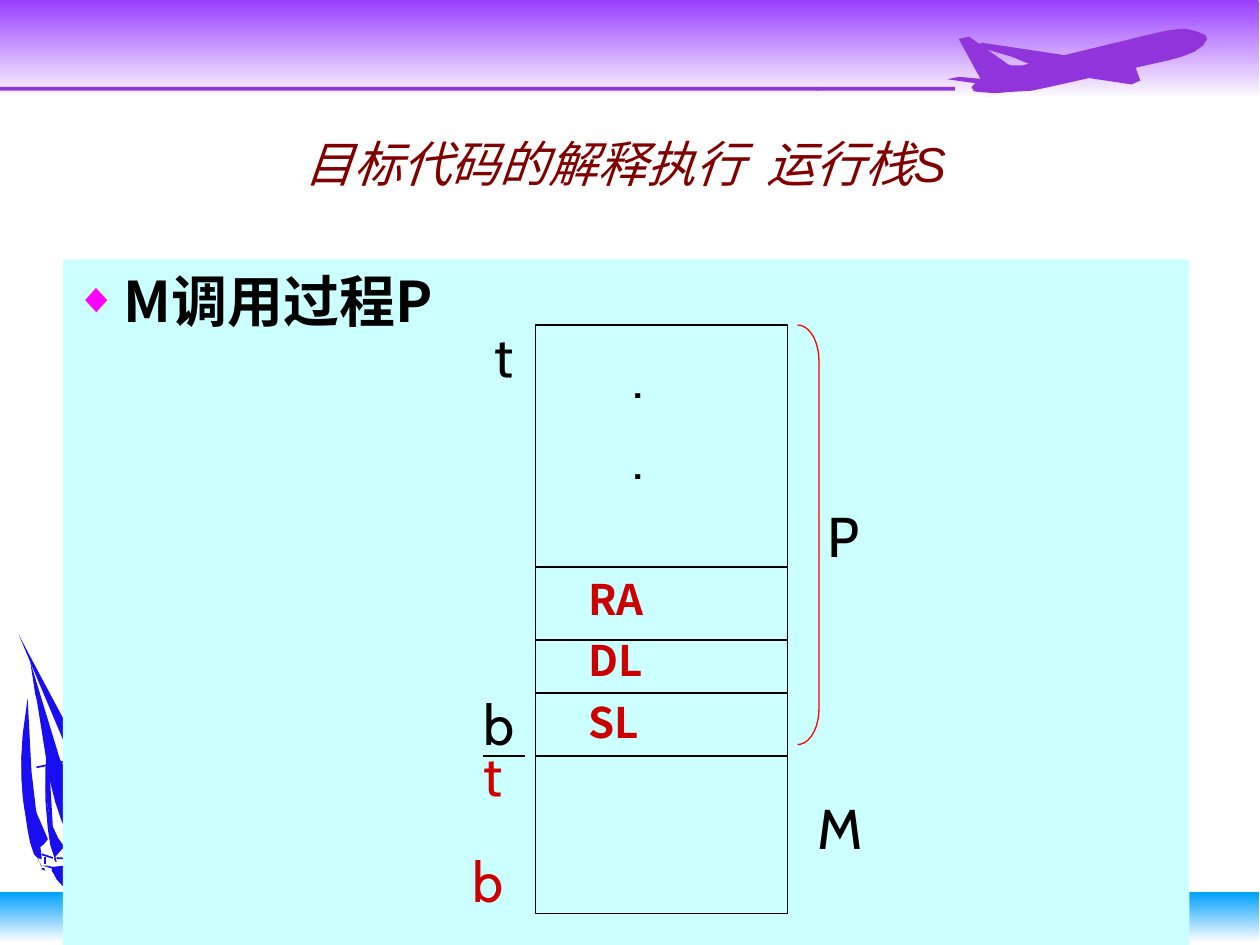
from dataclasses import dataclass

from pptx import Presentation
from pptx.dml.color import RGBColor
from pptx.enum.shapes import MSO_CONNECTOR, MSO_SHAPE
from pptx.enum.text import MSO_ANCHOR, PP_ALIGN
from pptx.oxml.ns import qn
from pptx.util import Inches, Pt
from lxml import etree

RECT, BRACKET = MSO_SHAPE.RECTANGLE, MSO_SHAPE.RIGHT_BRACKET
STRAIGHT = MSO_CONNECTOR.STRAIGHT
CENTER, LEFT = PP_ALIGN.CENTER, PP_ALIGN.LEFT
TOP, MIDDLE = MSO_ANCHOR.TOP, MSO_ANCHOR.MIDDLE
HEAD_FONT, CJK_FONT, LABEL_FONT = "Arial", "Noto Sans CJK SC", "Cabin"

COLORS = {
    "white": "FFFFFF", "sky": "993FFF", "plane": "9234DB", "sea": "009FFF",
    "boat": "190EF2", "title": "800000", "panel": "CCFFFF", "bullet": "FF00FF",
    "black": "000000", "red": "CC0000", "bracket": "FF0000",
}

# Outlines in hundredths of an inch
PLANE = [
    # fuselage and tail fin
    [(761, 31), (769, 29), (800, 51), (803, 52), (811, 52), (918, 26), (928, 24),
     (936, 23), (942, 23), (950, 25), (957, 28), (958, 31), (955, 36), (948, 41),
     (938, 45), (927, 48), (833, 69), (819, 72), (802, 73), (790, 74), (776, 73),
     (772, 72), (773, 71), (771, 70), (772, 68), (775, 65), (779, 64)],
    # near wing, tailplane, far wing
    [(864, 62), (898, 67), (905, 64), (901, 53)],
    [(793, 64), (787, 66), (781, 67), (773, 66), (752, 63), (761, 61)],
    [(860, 46), (780, 34), (772, 36), (803, 45), (822, 53)],
]
BOAT = [
    # sails
    [(39, 601), (39, 605), (42, 656), (40, 652), (37, 634), (36, 624), (36, 611),
     (37, 598), (38, 595)],
    [(90, 682), (65, 598), (25, 523), (15, 504)],
    [(48, 604), (44, 597), (40, 588), (35, 573), (28, 551), (24, 525)],
    [(94, 669), (71, 640), (53, 612), (46, 600), (36, 576), (27, 542), (32, 573),
     (39, 617), (44, 637), (49, 652), (54, 661), (60, 668), (68, 673)],
    [(51, 672), (46, 665), (41, 654), (38, 641), (36, 623), (36, 613), (36, 635),
     (38, 658), (40, 671), (44, 683), (44, 680)],
    [(22, 554), (18, 583), (17, 601), (18, 632), (22, 659), (24, 669), (27, 678),
     (30, 681), (33, 682), (33, 680), (25, 612)],
    [(18, 591), (18, 599), (21, 618), (25, 634), (29, 645), (38, 666), (35, 670),
     (27, 676), (22, 655), (19, 639), (17, 619), (17, 601)],
    # hull and deck
    [(42, 688), (51, 687), (132, 685), (133, 688), (130, 695), (119, 706), (115, 708),
     (83, 713), (65, 713), (55, 709), (45, 698), (41, 690)],
    [(73, 703), (54, 701), (45, 697), (41, 691), (46, 688), (83, 687), (102, 684),
     (82, 693), (62, 696), (52, 692), (51, 696), (60, 700), (74, 702)],
    # bow fittings
    [(44, 680), (43, 682), (44, 684), (45, 684)],
    [(33, 688), (33, 687), (30, 682), (30, 681)],
    [(35, 689), (36, 691), (33, 690), (33, 689)],
    [(34, 687), (37, 687), (47, 689), (46, 691), (37, 688)],
]
RIGGING = [
    [(97, 671), (60, 600), (25, 526)],
    [(49, 605), (65, 598), (49, 605), (29, 609)],
    [(98, 681), (82, 681), (62, 682), (45, 681)],
]
STAYS = [(0.36, 6.8, 0.36, 6.86), (0.42, 6.81, 0.33, 6.78)]


@dataclass
class Label:
    text: str
    left: float
    top: float
    width: float
    color: str = "black"


STACK_LEFT, STACK_WIDTH = 4.25, 2
STACK_TOP, M_TOP, STACK_BOTTOM = 2.58, 6, 7.25
DIVIDERS = [4.5, 5.08, 5.5]
LABELS = [
    Label("t", 3.83, 2.5, 0.36), Label("b", 3.74, 5.42, 0.47),
    Label("t", 3.74, 5.83, 0.36, "red"), Label("b", 3.65, 6.67, 0.47, "red"),
    Label("P", 6.47, 3.93, 0.47), Label("M", 6.39, 6.25, 0.6),
]


def rgb(color: str) -> RGBColor:
    return RGBColor.from_string(COLORS[color])


def add_box(shapes, left: float, top: float, width: float, height: float,
            fill: str = "", line: str = "", kind=RECT):
    box = shapes.add_shape(kind, Inches(left), Inches(top), Inches(width), Inches(height))
    box.shadow.inherit = False
    if fill:
        box.fill.solid()
        box.fill.fore_color.rgb = rgb(fill)
    else:
        box.fill.background()
    if line:
        box.line.color.rgb = rgb(line)
        box.line.width = Pt(0.75)
    else:
        box.line.fill.background()
    return box


def add_fade(shapes, top: float, height: float, color: str) -> None:
    band = add_box(shapes, 0, top, 9.99, height)
    band.fill.gradient()
    band.fill.gradient_angle = 270
    for stop, name in zip(band.fill.gradient_stops, (color, "white")):
        stop.color.rgb = rgb(name)


def add_outline(shapes, points: list, color: str, stroked: bool = False) -> None:
    builder = shapes.build_freeform(*points[0], scale=Inches(0.01))
    builder.add_line_segments(points[1:], close=not stroked)
    outline = builder.convert_to_shape()
    outline.shadow.inherit = False
    outline.fill.solid()
    outline.fill.fore_color.rgb = rgb(color)
    if stroked:
        outline.line.color.rgb = rgb(color)
        outline.line.width = Pt(1)
    else:
        outline.line.fill.background()


def add_line(shapes, x1: float, y1: float, x2: float, y2: float,
             color: str = "black", width: float = 0.75) -> None:
    line = shapes.add_connector(STRAIGHT, Inches(x1), Inches(y1), Inches(x2), Inches(y2))
    line.line.color.rgb = rgb(color)
    line.line.width = Pt(width)
    etree.SubElement(line._element.spPr, qn("a:effectLst"))


def add_text(shapes, left: float, top: float, width: float, height: float, lines: list,
             font: str, size: float, color: str, bold: bool = False, italic: bool = False,
             align=LEFT, anchor=TOP, wrap: bool = True, gap: float = 0,
             line_height: float = 0, bullet: bool = False):
    box = shapes.add_textbox(Inches(left), Inches(top), Inches(width), Inches(height))
    frame = box.text_frame
    frame.word_wrap = wrap
    frame.vertical_anchor = anchor
    frame.text = "\n".join(lines)
    for index, paragraph in enumerate(frame.paragraphs):
        paragraph.alignment = align
        if index:
            paragraph.space_before = Pt(gap)
        if line_height:
            paragraph.line_spacing = Pt(line_height)
        if bullet:
            add_bullet(paragraph)
        paragraph.font.name, paragraph.font.size = font, Pt(size)
        paragraph.font.bold, paragraph.font.italic = bold, italic
        paragraph.font.color.rgb = rgb(color)
    return box


def add_bullet(paragraph) -> None:
    props = paragraph._p.get_or_add_pPr()
    props.set("marL", str(Inches(0.38)))
    props.set("indent", str(-Inches(0.38)))
    tint = etree.SubElement(props, qn("a:buClr"))
    etree.SubElement(tint, qn("a:srgbClr"), val=COLORS["bullet"])
    etree.SubElement(props, qn("a:buSzPct"), val="75000")
    etree.SubElement(props, qn("a:buFont"), typeface=HEAD_FONT)
    etree.SubElement(props, qn("a:buChar"), char="◆")


def main() -> None:
    prs = Presentation()
    prs.slide_width, prs.slide_height = Inches(10), Inches(7.5)
    shapes = prs.slides.add_slide(prs.slide_layouts[6]).shapes

    # Sky with plane and its trail, sea with sailing boat
    add_fade(shapes, 0, 0.79, "sky")
    for left, width in ((0, 6.49), (6.48, 1.1)):
        add_box(shapes, left, 0.69, width, 0.03, "plane")
    for part in PLANE:
        add_outline(shapes, part, "plane")
    add_fade(shapes, 7.08, 0.4, "sea")
    for part in BOAT:
        add_outline(shapes, part, "boat")
    for rope in RIGGING:
        add_outline(shapes, rope, "boat", stroked=True)
    for stay in STAYS:
        add_line(shapes, *stay, "boat", 1)

    # Title and content panel
    title = add_text(shapes, 0.67, 0.92, 8.5, 0.75, ["目标代码的解释执行  运行栈S"], HEAD_FONT, 28,
                     "title", italic=True, align=CENTER, anchor=MIDDLE)
    title.text_frame.margin_left = Inches(0.18)
    panel = add_text(shapes, 0.5, 2.06, 8.94, 5.44, ["M调用过程P"], CJK_FONT, 32, "black",
                     bold=True, line_height=39, bullet=True)
    panel.fill.solid()
    panel.fill.fore_color.rgb = rgb("panel")

    # Runtime stack: frame of P above frame of M
    links = add_text(shapes, 4.42, 4.5, 1.75, 1.47, ["RA", "DL", "SL"], CJK_FONT, 24, "red",
                     bold=True, gap=6, line_height=29)
    links.text_frame.margin_left = Inches(0.25)
    add_text(shapes, 4.92, 2.67, 0.5, 1.28, [".", "."], LABEL_FONT, 32, "black", gap=8)
    for top, bottom in ((STACK_TOP, M_TOP), (M_TOP, STACK_BOTTOM)):
        add_box(shapes, STACK_LEFT, top, STACK_WIDTH, bottom - top, line="black")
    for y in DIVIDERS:
        add_line(shapes, STACK_LEFT, y, STACK_LEFT + STACK_WIDTH, y)

    # Pointers, frame names and bracket
    add_line(shapes, 3.83, M_TOP, 4.17, M_TOP)
    bracket = add_box(shapes, 6.33, STACK_TOP, 0.17, 3.33, line="bracket", kind=BRACKET)
    bracket.adjustments[0] = 1.67
    for label in LABELS:
        add_text(shapes, label.left, label.top, label.width, 0.64, [label.text], LABEL_FONT,
                 32, label.color, wrap=False)

    prs.save("out.pptx")


if __name__ == "__main__":
    main()
